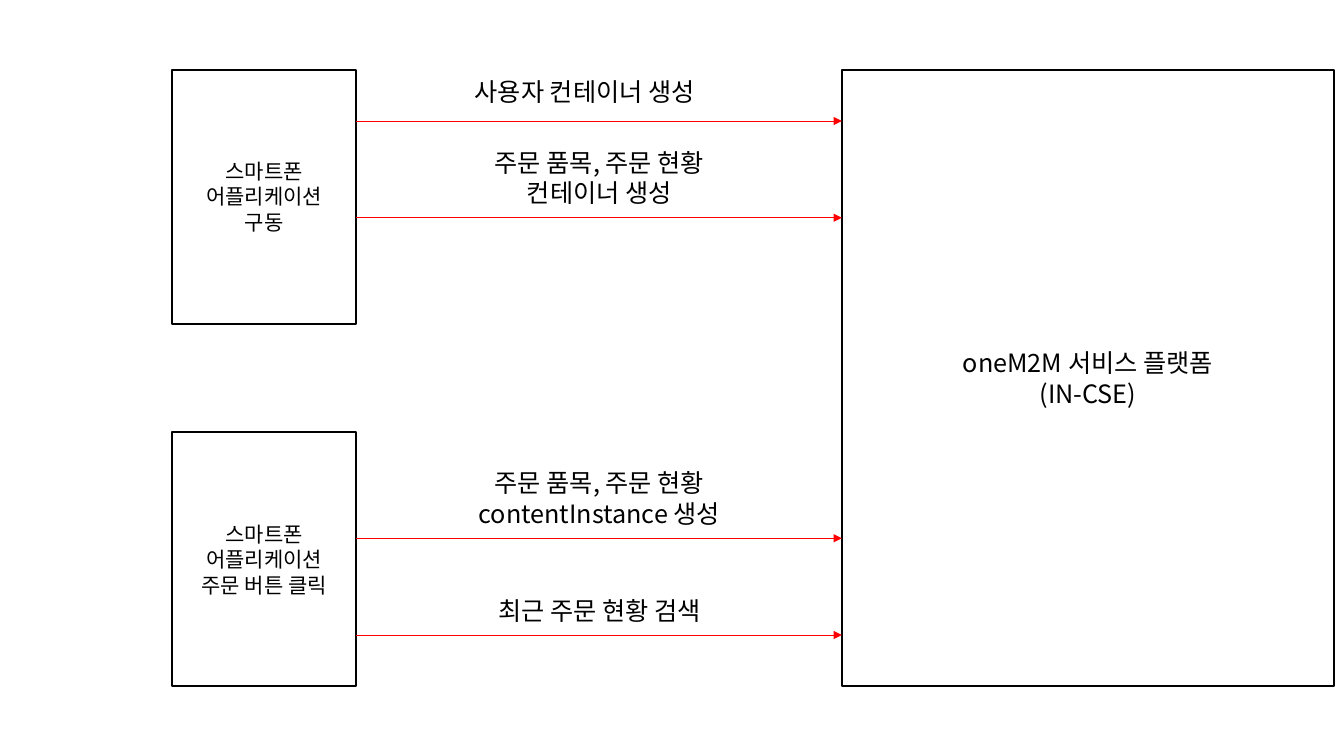
from dataclasses import dataclass

from lxml.etree import SubElement
from pptx import Presentation
from pptx.dml.color import RGBColor
from pptx.enum.shapes import MSO_CONNECTOR, MSO_SHAPE
from pptx.enum.text import MSO_ANCHOR, MSO_AUTO_SIZE, PP_ALIGN
from pptx.oxml.ns import qn
from pptx.util import Inches, Pt


@dataclass(frozen=True)
class Theme:
    font: str = "Noto Sans CJK KR"
    ink: RGBColor = RGBColor(0, 0, 0)
    paper: RGBColor = RGBColor(255, 255, 255)
    arrow: RGBColor = RGBColor(255, 0, 0)
    app_size: int = 15
    text_size: int = 18
    box_line: float = 1.5
    arrow_line: float = 0.5


THEME = Theme()

# Boxes are left, top, width, height in inches.
START_BOX = (1.71, 0.69, 1.82, 2.52)
ORDER_BOX = (1.71, 4.29, 1.82, 2.52)
PLATFORM_BOX = (8.35, 0.69, 4.88, 6.12)

LABEL_INDENT = 1.08
LABEL_WIDTH = 2.67
LABEL_HEIGHTS = {1: 0.4, 2: 0.71}


def write_paragraphs(text_frame, lines, size, alignment):
    for index, line in enumerate(lines):
        paragraph = text_frame.paragraphs[0] if index == 0 else text_frame.add_paragraph()
        paragraph.alignment = alignment
        run = paragraph.add_run()
        run.text = line
        run.font.size = Pt(size)
        run.font.name = THEME.font
        run.font.color.rgb = THEME.ink
        SubElement(run.font._element, qn("a:ea"), typeface=THEME.font)


def add_node(slide, box, lines, size):
    """Draw an outlined box with centred text."""
    shape = slide.shapes.add_shape(MSO_SHAPE.RECTANGLE, *map(Inches, box))
    shape.shadow.inherit = False
    shape.fill.solid()
    shape.fill.fore_color.rgb = THEME.paper
    shape.line.color.rgb = THEME.ink
    shape.line.width = Pt(THEME.box_line)
    shape.text_frame.word_wrap = True
    shape.text_frame.vertical_anchor = MSO_ANCHOR.MIDDLE
    write_paragraphs(shape.text_frame, lines, size, PP_ALIGN.CENTER)


def add_arrow(slide, left, right, y):
    connector = slide.shapes.add_connector(
        MSO_CONNECTOR.STRAIGHT, Inches(left), Inches(y), Inches(right), Inches(y))
    connector.line.color.rgb = THEME.arrow
    connector.line.width = Pt(THEME.arrow_line)
    SubElement(connector.line._get_or_add_ln(), qn("a:tailEnd"), type="triangle")
    SubElement(connector._element.spPr, qn("a:effectLst"))


def add_message(slide, source, target, offset, text, line_count,
                gap=0.04, alignment=PP_ALIGN.CENTER):
    """Draw an arrow between two boxes, offset from the source top, with its label above."""
    left = source[0] + source[2]
    y = source[1] + offset
    add_arrow(slide, left, target[0], y)
    height = LABEL_HEIGHTS[line_count]
    label = slide.shapes.add_textbox(
        Inches(left + LABEL_INDENT), Inches(y - gap - height),
        Inches(LABEL_WIDTH), Inches(height))
    label.text_frame.word_wrap = True
    label.text_frame.auto_size = MSO_AUTO_SIZE.SHAPE_TO_FIT_TEXT
    write_paragraphs(label.text_frame, [text], THEME.text_size, alignment)


def add_sequence_slide(presentation):
    slide = presentation.slides.add_slide(presentation.slide_layouts[6])
    add_node(slide, START_BOX, ["스마트폰", "어플리케이션", "구동"], THEME.app_size)
    add_node(slide, ORDER_BOX, ["스마트폰", "어플리케이션", "주문 버튼 클릭"], THEME.app_size)
    add_node(slide, PLATFORM_BOX, ["oneM2M 서비스 플랫폼", "(IN-CSE)"], THEME.text_size)

    add_message(slide, START_BOX, PLATFORM_BOX, 0.51, "사용자 컨테이너 생성", 1,
                gap=0.09, alignment=PP_ALIGN.LEFT)
    add_message(slide, START_BOX, PLATFORM_BOX, 1.47, "주문 품목, 주문 현황 컨테이너 생성", 2)
    add_message(slide, ORDER_BOX, PLATFORM_BOX, 1.05, "주문 품목, 주문 현황 contentInstance 생성", 2)
    add_message(slide, ORDER_BOX, PLATFORM_BOX, 2.01, "최근 주문 현황 검색", 1)


def main():
    presentation = Presentation()
    presentation.slide_width = Inches(13.33)
    presentation.slide_height = Inches(7.5)
    add_sequence_slide(presentation)
    presentation.save("out.pptx")


if __name__ == "__main__":
    main()
